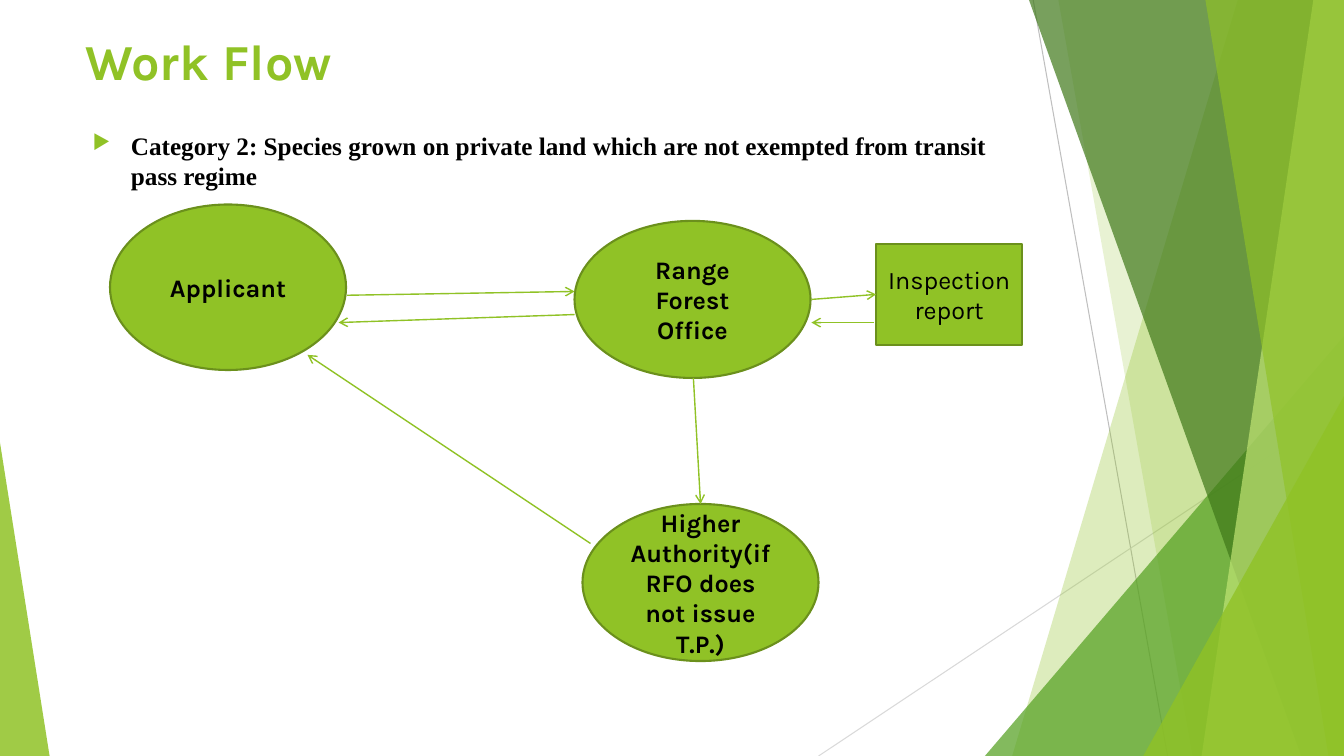
from lxml import etree
from pptx import Presentation
from pptx import util as u
from pptx.dml.color import RGBColor
from pptx.enum import shapes, text
from pptx.oxml.ns import qn

LIME = RGBColor(0x90, 0xC2, 0x26)
OLIVE = RGBColor(0x6B, 0x90, 0x1C)
GREEN = RGBColor(0x54, 0xA0, 0x21)
FOREST = RGBColor(0x3F, 0x78, 0x19)
PALE_LIME = RGBColor(0xC0, 0xE4, 0x74)
SILVER = RGBColor(0xBF, 0xBF, 0xBF)
LIGHT_GREY = RGBColor(0xD9, 0xD9, 0xD9)
BLACK = RGBColor(0, 0, 0)

WIDTH, HEIGHT = u.Inches(13.33), u.Inches(7.5)
COLUMNS, ROWS = 32, 18
OVAL = shapes.MSO_SHAPE.OVAL
RECTANGLE = shapes.MSO_SHAPE.RECTANGLE


class FlowPage:
    """Draws on one slide; all lengths are grid columns and rows."""

    heading_font = "Karla"
    body_font = "Times New Roman"

    def __init__(self, deck):
        self.page = deck.slides.add_slide(deck.slide_layouts[5])
        self.items = self.page.shapes

    @staticmethod
    def point(column, row):
        return round(column * WIDTH / COLUMNS), round(row * HEIGHT / ROWS)

    def area(self, left, top, width, height):
        return *self.point(left, top), *self.point(width, height)

    @staticmethod
    def style(para, font_name, size, color, bold=True):
        font = para.font
        font.name, font.size, font.bold = font_name, u.Pt(size), bold
        font.color.rgb = color

    @staticmethod
    def paint(shape, color, opacity):
        """Fill without outline; opacity is a percentage."""
        shape.shadow.inherit = False
        shape.line.fill.background()
        shape.fill.solid()
        shape.fill.fore_color.rgb = color
        tint = shape._element.spPr.find(qn("a:solidFill"))[0]
        etree.SubElement(tint, qn("a:alpha"), val=str(opacity * 1000))

    def title(self, words, *place):
        box = self.items.title
        box.left, box.top, box.width, box.height = self.area(*place)
        frame = box.text_frame
        frame.text = words
        frame.vertical_anchor = text.MSO_ANCHOR.TOP
        para = frame.paragraphs[0]
        para.alignment = text.PP_ALIGN.LEFT
        self.style(para, self.heading_font, 36, LIME)

    def bullet(self, words, *place):
        frame = self.items.add_textbox(*self.area(*place)).text_frame
        frame.word_wrap = True
        para = frame.paragraphs[0]
        para.text = words
        para.space_before = u.Pt(10)
        props = para._p.get_or_add_pPr()
        indent = u.Inches(0.38)
        props.set("marL", str(indent))
        props.set("indent", str(-indent))
        color = etree.SubElement(props, qn("a:buClr"))
        etree.SubElement(color, qn("a:srgbClr"), val=str(LIME))
        etree.SubElement(props, qn("a:buSzPct"), val="80000")
        etree.SubElement(props, qn("a:buChar"), char="▶")
        self.style(para, self.body_font, 18, BLACK)

    def panel(self, top_column, bottom_column, color, opacity):
        """Full-height panel from a slanted left edge to the right margin."""
        builder = self.items.build_freeform(*self.point(top_column, 0))
        corners = [(COLUMNS, 0), (COLUMNS, ROWS), (bottom_column, ROWS)]
        builder.add_line_segments([self.point(*corner) for corner in corners])
        self.paint(builder.convert_to_shape(), color, opacity)

    def corner(self, left, top, width, apex, color, opacity):
        """Triangle standing on the bottom margin; apex is 0 (left) to 1 (right)."""
        place = self.area(left, top, width, ROWS - top)
        shape = self.items.add_shape(shapes.MSO_SHAPE.ISOSCELES_TRIANGLE, *place)
        shape.adjustments[0] = apex
        self.paint(shape, color, opacity)

    def step(self, kind, words, *place, bold=True):
        shape = self.items.add_shape(kind, *self.area(*place))
        shape.shadow.inherit = False
        shape.fill.solid()
        shape.fill.fore_color.rgb = LIME
        shape.line.color.rgb = OLIVE
        shape.line.width = u.Pt(1.5)
        frame = shape.text_frame
        frame.word_wrap = True
        frame.vertical_anchor = text.MSO_ANCHOR.MIDDLE
        para = frame.paragraphs[0]
        para.text = words
        para.alignment = text.PP_ALIGN.CENTER
        self.style(para, self.heading_font, 18, BLACK, bold)

    def line(self, start, end, color, width):
        link = self.items.add_connector(
            shapes.MSO_CONNECTOR.STRAIGHT, *self.point(*start), *self.point(*end))
        link.line.color.rgb = color
        link.line.width = u.Pt(width)
        etree.SubElement(link._element.spPr, qn("a:effectLst"))
        return link

    def arrow(self, start, end):
        link = self.line(start, end, LIME, 1)
        etree.SubElement(link.line._get_or_add_ln(), qn("a:tailEnd"), type="arrow")


def draw_backdrop(flow):
    flow.line((24.6, 0), (27.8, ROWS), SILVER, 0.75)
    flow.line((COLUMNS, 9.67), (19.49, ROWS), LIGHT_GREY, 0.75)
    flow.panel(29.47, 24.1, LIME, 30)
    flow.panel(25.2, 28.39, LIME, 20)
    flow.corner(23.45, 8, 8.55, 1, GREEN, 72)
    flow.panel(24.5, 30.98, FOREST, 70)
    flow.panel(31.27, 28.61, PALE_LIME, 70)
    flow.panel(28.7, 31.63, LIME, 65)
    flow.corner(27.22, 9.43, 4.78, 1, LIME, 80)
    flow.corner(0, 10.54, 1.18, 0, LIME, 85)


def draw_workflow(flow):
    flow.step(OVAL, "Applicant", 2.62, 4.87, 5.62, 3.94)
    flow.step(OVAL, "Range Forest Office", 13.68, 5.26, 5.62, 3.74)
    flow.step(OVAL, "Higher Authority(if RFO does not issue T.P.)",
              13.87, 12, 5.62, 3.74)
    flow.step(RECTANGLE, "Inspection report", 20.86, 5.81, 3.48, 2.4, bold=False)
    for start, end in [
        ((8.26, 7.03), (13.68, 6.94)),
        ((13.68, 7.49), (8.06, 7.68)),
        ((19.32, 7.13), (20.86, 7.01)),
        ((20.81, 7.68), (19.32, 7.68)),
        ((16.51, 9), (16.68, 12)),
        ((14.06, 12.94), (7.32, 8.45)),
    ]:
        flow.arrow(start, end)


def main():
    deck = Presentation()
    deck.slide_width, deck.slide_height = WIDTH, HEIGHT
    flow = FlowPage(deck)
    draw_backdrop(flow)
    flow.title("Work Flow", 1.8, 0.6, 22.56, 3.46)
    flow.bullet("Category 2: Species grown on private land which are not "
                "exempted from transit pass regime", 1.97, 2.98, 22.56, 8.95)
    draw_workflow(flow)
    deck.save("out.pptx")


if __name__ == "__main__":
    main()
